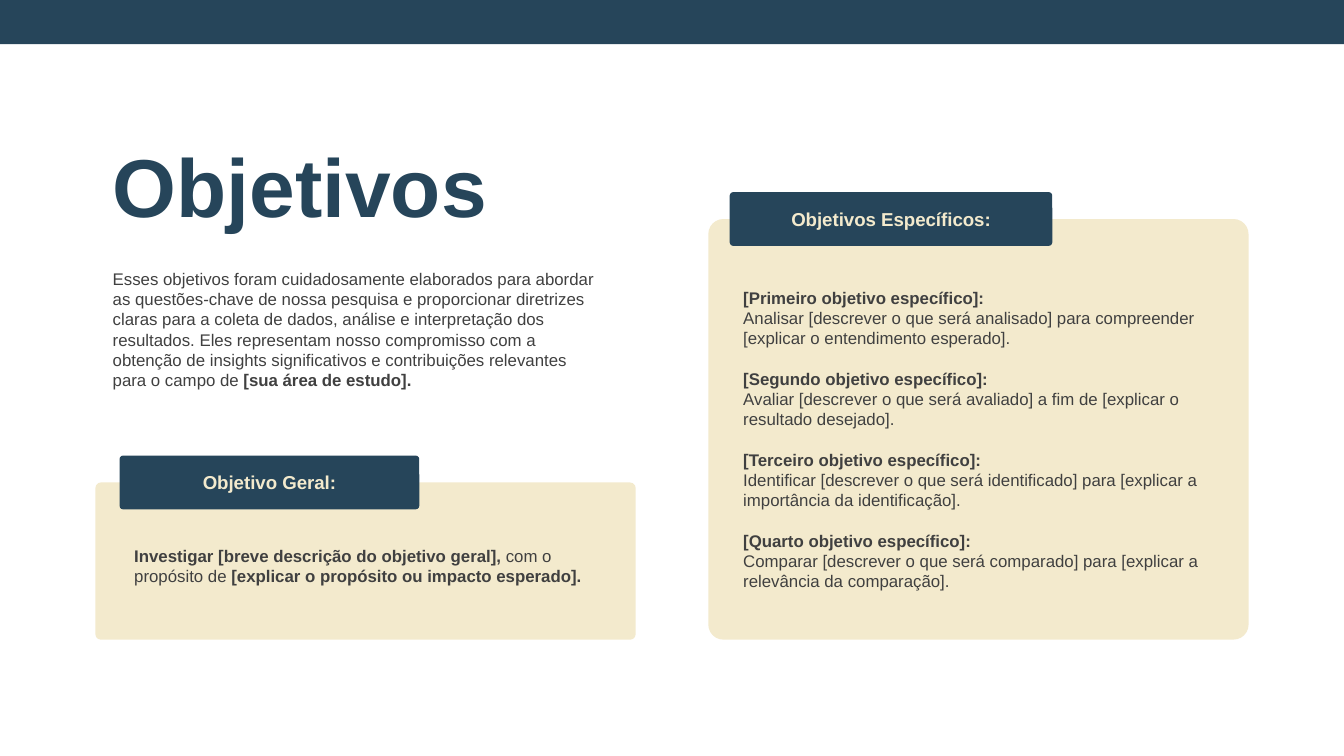
"""Build a slide of research objectives: an intro and two labelled cards."""
from pptx import Presentation
from pptx.dml.color import RGBColor
from pptx.enum.shapes import MSO_SHAPE
from pptx.enum.text import MSO_ANCHOR, MSO_AUTO_SIZE, PP_ALIGN
from pptx.oxml.ns import qn
from pptx.util import Inches, Pt

RECT, ROUND = MSO_SHAPE.RECTANGLE, MSO_SHAPE.ROUNDED_RECTANGLE
TOP, MIDDLE = MSO_ANCHOR.TOP, MSO_ANCHOR.MIDDLE
LEFT, CENTER = PP_ALIGN.LEFT, PP_ALIGN.CENTER
NONE = MSO_AUTO_SIZE.NONE
NAVY, CREAM, GRAY = "26455A", "F3EACD", "404040"

TITLE = "Objetivos"
INTRO = [[
    ("Esses objetivos foram cuidadosamente elaborados para abordar as "
     "questões-chave de nossa pesquisa e proporcionar diretrizes claras para "
     "a coleta de dados, análise e interpretação dos resultados. Eles "
     "representam nosso compromisso com a obtenção de insights significativos "
     "e contribuições relevantes para o campo de ", False),
    ("[sua área de estudo].", True),
]]
MAIN = [[
    ("Investigar [breve descrição do objetivo geral], ", True),
    ("com o propósito de ", False),
    ("[explicar o propósito ou impacto esperado].", True),
]]
GOALS = [
    ("Primeiro", "Analisar [descrever o que será analisado] para compreender "
     "[explicar o entendimento esperado]."),
    ("Segundo", "Avaliar [descrever o que será avaliado] a fim de "
     "[explicar o resultado desejado]."),
    ("Terceiro", "Identificar [descrever o que será identificado] para "
     "[explicar a importância da identificação]."),
    ("Quarto", "Comparar [descrever o que será comparado] para "
     "[explicar a relevância da comparação]."),
]
CARDS = [
    {"box": (0.71, 3.59, 4.02, 1.17), "tab": (0.89, 3.39, 2.23, 0.4),
     "label": "Objetivo Geral:"},
    {"box": (5.27, 1.63, 4.02, 3.13), "tab": (5.43, 1.43, 2.4, 0.4),
     "label": "Objetivos Específicos:"},
]
BODY = {"size": 9, "color": GRAY}
HEAD = {"size": 44, "color": NAVY, "anchor": MIDDLE, "line": 0.7, "pad": 0.1}
LABEL = {"size": 10, "color": CREAM, "anchor": MIDDLE, "align": CENTER}


def rgb(code):
    return RGBColor.from_string(code)


def place(shape, box):
    for name, value in zip(("left", "top", "width", "height"), box):
        setattr(shape, name, Inches(value))


def write(shape, lines, size, color, anchor=TOP, align=LEFT, line=1, pad=0.05):
    frame = shape.text_frame
    form = {"word_wrap": True, "auto_size": NONE, "vertical_anchor": anchor,
            "margin_top": Inches(pad), "margin_bottom": Inches(pad),
            "margin_left": Inches(0.1), "margin_right": Inches(0.1)}
    for name, value in form.items():
        setattr(frame, name, value)
    for i, parts in enumerate(lines):
        para = frame.add_paragraph() if i else frame.paragraphs[0]
        style = {"alignment": align, "line_spacing": line,
                 "space_before": Pt(0), "space_after": Pt(0)}
        for name, value in style.items():
            setattr(para, name, value)
        for text, bold in parts:
            run = para.add_run()
            run.text = text
            face = {"name": "Arial", "size": Pt(size), "bold": bold}
            for name, value in face.items():
                setattr(run.font, name, value)
            run.font.color.rgb = rgb(color)


def panel(shapes, kind, box, color, bend=None):
    shape = shapes.add_shape(kind, *map(Inches, box))
    shape.shadow.inherit = False
    shape.fill.solid()
    shape.fill.fore_color.rgb = rgb(color)
    shape.line.fill.background()
    if bend is not None:
        shape.adjustments[0] = bend
    return shape


def note(shapes, box, lines):
    write(shapes.add_textbox(*map(Inches, box)), lines, **BODY)


def list_goals(body):
    lines = []
    for rank, text in GOALS:
        lines += [[(f"[{rank} objetivo específico]:", True)], [(text, False)]]
    write(body, lines, **BODY)
    for i, para in enumerate(body.text_frame.paragraphs):
        if i and i % 2 == 0:
            para.space_before = Pt(10.85)
        props = para._p.get_or_add_pPr()
        props.set("marL", "0")
        props.set("indent", "0")
        props.append(props.makeelement(qn("a:buNone"), {}))


def main():
    deck = Presentation()
    deck.slide_width, deck.slide_height = Inches(10), Inches(10) * 9 // 16
    slide = deck.slides.add_slide(deck.slide_layouts[1])
    shapes = slide.shapes
    title, body = shapes.title, slide.placeholders[1]

    panel(shapes, RECT, (0, 0, 10, 0.33), NAVY)
    for card in CARDS:
        panel(shapes, ROUND, card["box"], CREAM, 0.036)
        tab = panel(shapes, ROUND, card["tab"], NAVY, 0.064)
        write(tab, [[(card["label"], True)]], **LABEL)

    place(title, (0.74, 1.18, 4.22, 0.57))
    write(title, [[(TITLE, True)]], **HEAD)
    note(shapes, (0.74, 1.95, 3.85, 1.01), INTRO)
    note(shapes, (0.9, 4.01, 3.69, 0.4), MAIN)
    place(body, (5.43, 2.09, 3.84, 2.37))
    list_goals(body)
    shapes._spTree.append(body._element)
    deck.save("out.pptx")


if __name__ == "__main__":
    main()
